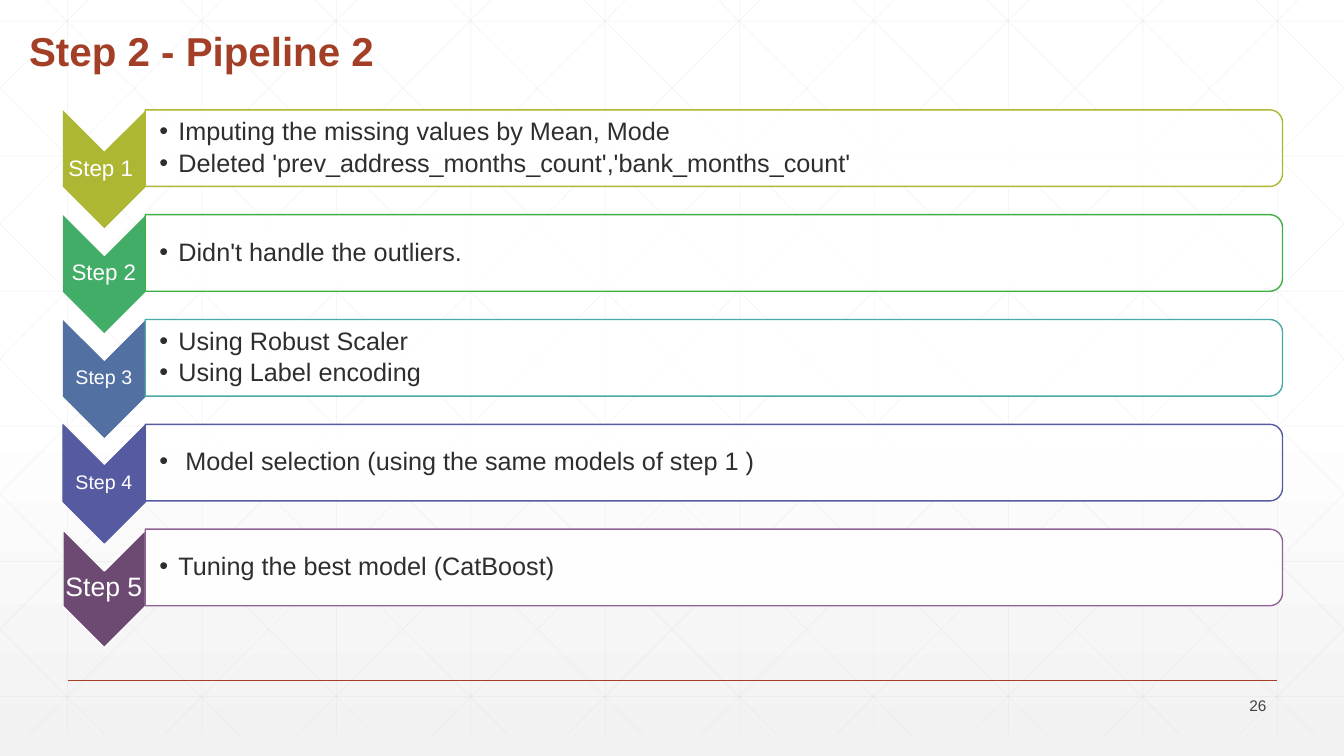
from pptx import Presentation
from pptx.dml.color import RGBColor
from pptx.enum.shapes import MSO_CONNECTOR, MSO_SHAPE
from pptx.enum.text import MSO_ANCHOR, PP_ALIGN
from pptx.oxml.ns import qn
from pptx.util import Inches, Pt
from lxml import etree

STRAIGHT = MSO_CONNECTOR.STRAIGHT
CHEVRON = MSO_SHAPE.CHEVRON
ROUNDED = MSO_SHAPE.ROUND_2_SAME_RECTANGLE
MIDDLE, BOTTOM = MSO_ANCHOR.MIDDLE, MSO_ANCHOR.BOTTOM
LEFT, CENTER, RIGHT = PP_ALIGN.LEFT, PP_ALIGN.CENTER, PP_ALIGN.RIGHT

COLORS = {
    "white": "FFFFFF", "fade": "F2F2F2", "grid": "D9D9D9",
    "rust": "A43F27", "body": "2D2E2D", "number": "424342",
    "olive": "AEB733", "jade": "42AD67", "green": "3EB042",
    "blue": "5270A2", "teal": "4AA8A6", "indigo": "565AA0",
    "plum": "6D4A71", "mauve": "926397",
}
RGB = {name: RGBColor.from_string(value) for name, value in COLORS.items()}

WIDTH, HEIGHT = 13.33, 7.5
GRID_BOTTOM, GRID_STEP = 7.29, 4 / 3
SLOPE = 0.994
ROW_TOP, ROW_STEP = 1.09, 1.04

STEPS = [
    ("Step 1 ", 16, 0.05, "olive", None, "olive",
     ["Imputing the missing values by Mean, Mode",
      "Deleted 'prev_address_months_count','bank_months_count'"]),
    ("Step 2", 16, 0.05, "jade", None, "green", ["Didn't handle the outliers."]),
    ("Step 3", 14, 0.05, "blue", None, "teal",
     ["Using Robust Scaler", "Using Label encoding"]),
    ("Step 4", 14, 0.01, "indigo", "indigo", "indigo",
     [" Model selection (using the same models of step 1 )"]),
    ("Step 5", 19, 0.01, "plum", "white", "mauve",
     ["Tuning the best model (CatBoost)"]),
]


def add_line(start, end, color, weight, opacity=100):
    line = page.shapes.add_connector(STRAIGHT, *map(Inches, start + end))
    line.line.color.rgb = RGB[color]
    line.line.width = Pt(weight)
    properties = line._element.spPr
    if opacity < 100:
        paint = next(properties.iter(qn("a:srgbClr")))
        etree.SubElement(paint, qn("a:alpha")).set("val", str(opacity * 1000))
    etree.SubElement(properties, qn("a:effectLst"))


def add_text(place, lines, size, color, align=LEFT, anchor=MIDDLE,
             margins=(0.1, 0.05, 0.1, 0.05), spacing=0.9, after=0,
             bold=False, bullet=False):
    box = page.shapes.add_textbox(*map(Inches, place))
    frame = box.text_frame
    frame.word_wrap = True
    frame.vertical_anchor = anchor
    frame.margin_left, frame.margin_top, frame.margin_right, frame.margin_bottom = map(Inches, margins)
    frame.text = "\n".join(lines)
    for para in frame.paragraphs:
        para.alignment = align
        para.line_spacing = spacing
        para.space_after = Pt(after)
        if bullet:
            settings = para._p.get_or_add_pPr()
            settings.set("marL", str(Inches(0.19)))
            settings.set("indent", str(Inches(-0.19)))
            etree.SubElement(settings, qn("a:buFont")).set("typeface", "Arial")
            etree.SubElement(settings, qn("a:buChar")).set("char", "•")
        for span in para.runs:
            span.font.name = "Arial"
            span.font.size = Pt(size)
            span.font.bold = bold
            span.font.color.rgb = RGB[color]


deck = Presentation()
deck.slide_width, deck.slide_height = Inches(WIDTH), Inches(HEIGHT)
page = deck.slides.add_slide(deck.slide_layouts[6])

backdrop = page.background.fill
backdrop.gradient()
backdrop.gradient_angle = 270
for stop, position, color in zip(backdrop.gradient_stops, (0.53, 1), ("white", "fade")):
    stop.position = position
    stop.color.rgb = RGB[color]

grid_lines = []
for column in range(10):
    x = 0.67 + column * GRID_STEP
    grid_lines.append(((x, 0), (x, GRID_BOTTOM)))
for row in range(6):
    y = 0.21 + row * 1.34
    grid_lines.append(((0, y), (WIDTH, y)))
for index in range(-5, 10):
    x = 0.46 + index * GRID_STEP
    top = max(0, -x / SLOPE)
    bottom = min(GRID_BOTTOM, (WIDTH - x) / SLOPE)
    first, last = x + SLOPE * top, x + SLOPE * bottom
    grid_lines.append(((first, top), (last, bottom)))
    grid_lines.append(((WIDTH - first, top), (WIDTH - last, bottom)))
for start, end in grid_lines:
    add_line(start, end, "grid", 0.5, 25)

add_line((0.67, 6.75), (12.67, 6.75), "rust", 1)
add_text((0.19, 0.19, 10.5, 0.61), ["Step 2 - Pipeline 2"], 28.8, "rust",
         anchor=BOTTOM, bold=True)

for index, (label, size, margin, fill, edge, frame_color, points) in enumerate(STEPS):
    top = ROW_TOP + index * ROW_STEP
    outlines = [
        (CHEVRON, (0.45, top + 0.18, 1.17, 0.82), fill, edge),
        (ROUNDED, (6.7, top - 5.26, 0.76, 11.28), "white", frame_color),
    ]
    for kind, place, inside, border in outlines:
        shape = page.shapes.add_shape(kind, *map(Inches, place))
        shape.rotation = 90
        shape.shadow.inherit = False
        shape.fill.solid()
        shape.fill.fore_color.rgb = RGB[inside]
        if kind == ROUNDED:
            paint = next(shape._element.spPr.iter(qn("a:srgbClr")))
            etree.SubElement(paint, qn("a:alpha")).set("val", "90000")
        if border:
            shape.line.color.rgb = RGB[border]
            shape.line.width = Pt(1)
        else:
            shape.line.fill.background()
    add_text((0.62, top + 0.41, 0.82, 0.35), [label], size, "white", CENTER,
             margins=(margin, 0.01, margin, 0.01))
    add_text((1.44, top + 0.04, 11.24, 0.68), points, 18, "body",
             margins=(0.14, 0.01, 0.01, 0.01), after=3, bullet=True)

add_text((11.66, 6.88, 1, 0.24), ["26"], 11, "number", RIGHT, spacing=1)

deck.save("out.pptx")
